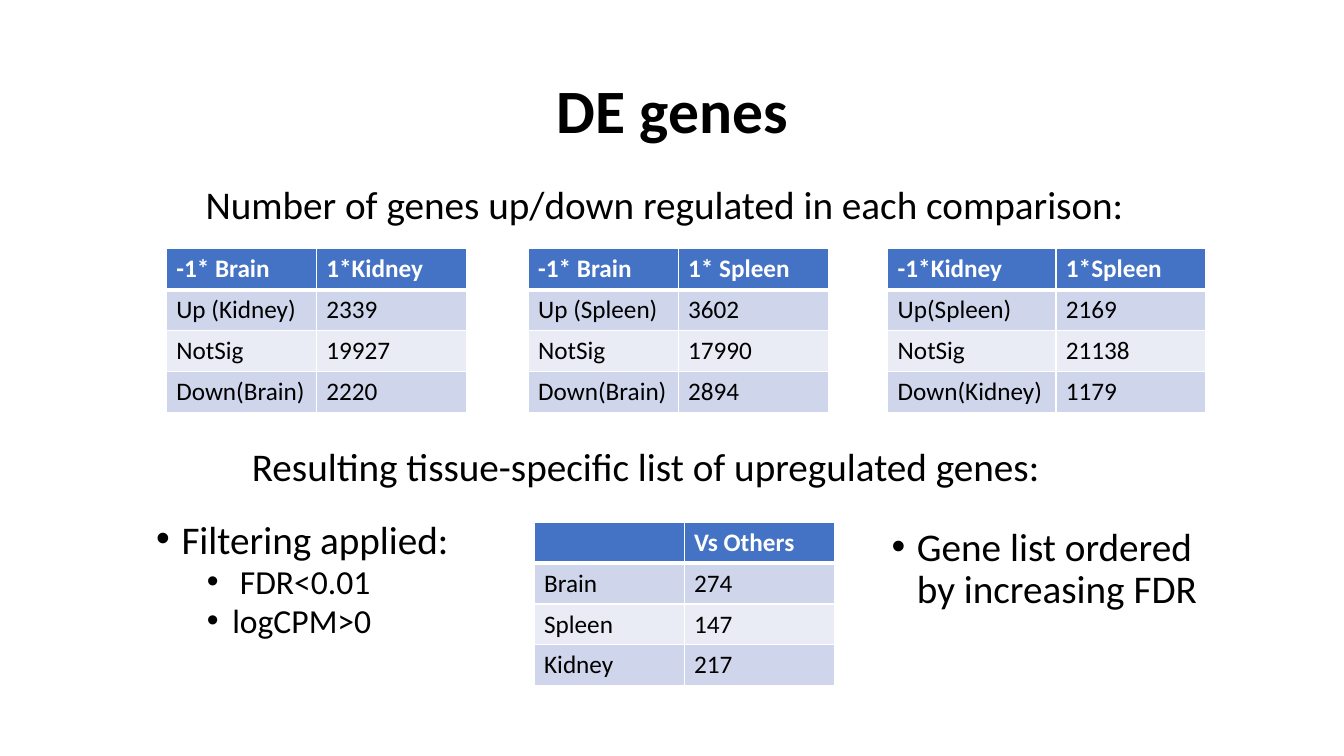
from lxml.etree import SubElement
from pptx import Presentation
from pptx.dml.color import RGBColor
from pptx.enum.text import MSO_ANCHOR, MSO_AUTO_SIZE, PP_ALIGN
from pptx.oxml.ns import qn
from pptx.util import Cm, Pt

FONT = "Calibri"
COLORS = {
    "text": "000000",
    "white": "FFFFFF",
    "header": "4472C4",
    "band_dark": "CFD5EA",
    "band_light": "E9EBF5",
}
ROW_HEIGHT = 1.02
COLUMN_WIDTH = 3.78
WIDE_COLUMN_WIDTH = 4.24
INDENT = 0.64  # hanging indent of bullets


def write_text(paragraph, text, size=28, color="text", bold=False,
               align=PP_ALIGN.LEFT, line_spacing=0.9, before=10,
               bullet_margin=None):
    """Fill a paragraph; bullet_margin (cm) turns it into a bulleted item."""
    run = paragraph.add_run()
    run.text = text
    run.font.name = FONT
    run.font.size = Pt(size)
    run.font.bold = bold
    run.font.color.rgb = RGBColor.from_string(COLORS[color])
    paragraph.alignment = align
    paragraph.line_spacing = line_spacing
    paragraph.space_before = Pt(before)
    if bullet_margin is not None:
        properties = paragraph._p.get_or_add_pPr()
        properties.set("marL", str(Cm(bullet_margin)))
        properties.set("indent", str(-Cm(INDENT)))
        SubElement(properties, qn("a:buFont"), typeface="Arial")
        SubElement(properties, qn("a:buChar"), char="•")


def place(shape, box):
    shape.left, shape.top, shape.width, shape.height = map(Cm, box)
    shape.text_frame.word_wrap = True
    shape.text_frame.auto_size = MSO_AUTO_SIZE.NONE


def add_title(slide, box, text):
    title = slide.shapes.title
    place(title, box)
    title.text_frame.vertical_anchor = MSO_ANCHOR.MIDDLE
    write_text(title.text_frame.paragraphs[0], text, size=44, bold=True,
               align=PP_ALIGN.CENTER, before=0)


def add_filter_list(slide, box, heading, filters):
    body = slide.placeholders[1]
    place(body, box)
    frame = body.text_frame
    write_text(frame.paragraphs[0], heading, line_spacing=0.8,
               bullet_margin=INDENT)
    for text in filters:
        paragraph = frame.add_paragraph()
        paragraph.level = 1
        write_text(paragraph, text, size=24, line_spacing=0.8, before=5,
                   bullet_margin=3 * INDENT)


def add_text_box(slide, box, text, **text_format):
    text_box = slide.shapes.add_textbox(*map(Cm, box))
    place(text_box, box)
    write_text(text_box.text_frame.paragraphs[0], text, **text_format)


def set_borders(cell, top, bottom):
    """Draw white borders; top and bottom are widths in points."""
    properties = cell._tc.get_or_add_tcPr()
    for side, width in (("L", 1), ("R", 1), ("T", top), ("B", bottom)):
        line = SubElement(properties, qn(f"a:ln{side}"), w=str(Pt(width)))
        fill = SubElement(line, qn("a:solidFill"))
        SubElement(fill, qn("a:srgbClr"), val=COLORS["white"])


def add_gene_table(slide, left, top, rows, first_width=COLUMN_WIDTH):
    widths = (first_width, COLUMN_WIDTH)
    frame = slide.shapes.add_table(
        len(rows), len(widths), Cm(left), Cm(top),
        Cm(sum(widths)), Cm(ROW_HEIGHT * len(rows)))
    table = frame.table
    for column, width in zip(table.columns, widths):
        column.width = Cm(width)
    for row_index, values in enumerate(rows):
        table.rows[row_index].height = Cm(ROW_HEIGHT)
        is_header = row_index == 0
        band = "band_dark" if row_index % 2 else "band_light"
        for column_index, value in enumerate(values):
            cell = table.cell(row_index, column_index)
            set_borders(cell, top=3 if row_index == 1 else 1,
                        bottom=3 if is_header else 1)
            cell.fill.solid()
            cell.fill.fore_color.rgb = RGBColor.from_string(
                COLORS["header" if is_header else band])
            if value:
                write_text(cell.text_frame.paragraphs[0], value, size=18,
                           color="white" if is_header else "text",
                           bold=is_header, line_spacing=1.0, before=0)


def add_comparisons(slide, left, top):
    """Heading and the three pairwise comparison tables."""
    add_text_box(slide, (left + 0.74, top, 25.3, 1.47),
                 "Number of genes up/down regulated in each comparison:")
    table_top = top + 1.72
    add_gene_table(slide, left, table_top, [
        ("-1* Brain", "1*Kidney"), ("Up (Kidney)", "2339"),
        ("NotSig", "19927"), ("Down(Brain)", "2220")])
    add_gene_table(slide, left + 9.12, table_top, [
        ("-1* Brain", "1* Spleen"), ("Up (Spleen)", "3602"),
        ("NotSig", "17990"), ("Down(Brain)", "2894")])
    add_gene_table(slide, left + 18.18, table_top, [
        ("-1*Kidney", "1*Spleen"), ("Up(Spleen)", "2169"),
        ("NotSig", "21138"), ("Down(Kidney)", "1179")],
        first_width=WIDE_COLUMN_WIDTH)


def add_results(slide, left, top):
    """Heading, filters, result table and ordering remark."""
    add_text_box(slide, (left + 2.42, top, 25.3, 1.47),
                 "Resulting tissue-specific list of upregulated genes:")
    add_filter_list(slide, (left, top + 1.93, 8.59, 4.14),
                    "Filtering applied:", [" FDR<0.01", "logCPM>0"])
    add_gene_table(slide, left + 9.78, top + 2.01, [
        ("", "Vs Others"), ("Brain", "274"),
        ("Spleen", "147"), ("Kidney", "217")])
    add_text_box(slide, (left + 18.54, top + 2.01, 8.59, 4.09),
                 "Gene list ordered by increasing FDR", bullet_margin=INDENT)


def main():
    presentation = Presentation()
    presentation.slide_width = Cm(33.87)
    presentation.slide_height = Cm(19.05)
    slide = presentation.slides.add_slide(presentation.slide_layouts[1])
    add_title(slide, (2.34, 1.02, 29.21, 3.68), "DE genes")
    add_comparisons(slide, 4.19, 4.55)
    add_results(slide, 3.68, 11.15)
    presentation.save("out.pptx")


if __name__ == "__main__":
    main()
